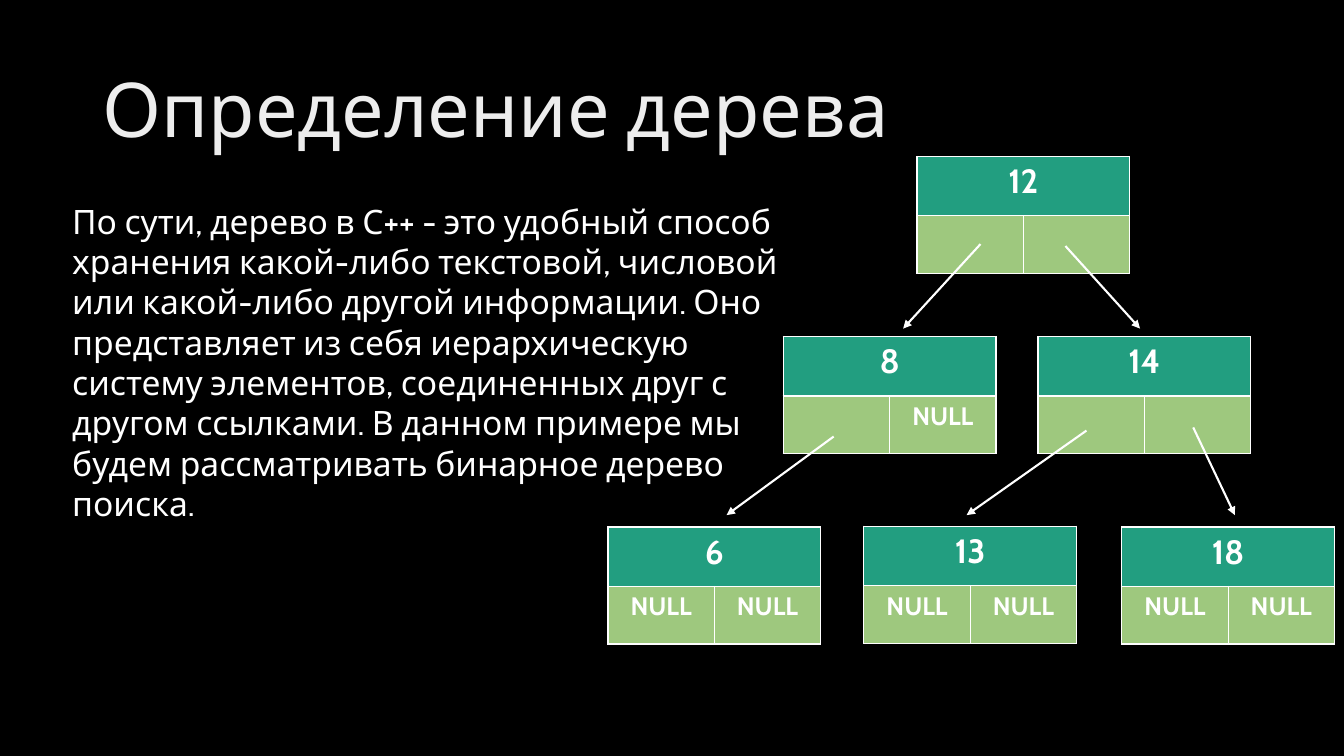
from lxml.etree import SubElement
from pptx import Presentation
from pptx.dml.color import RGBColor
from pptx.enum.shapes import MSO_CONNECTOR
from pptx.enum.text import MSO_ANCHOR, PP_ALIGN
from pptx.oxml import parse_xml
from pptx.oxml.ns import nsdecls, qn
from pptx.util import Cm, Pt

COLORS = {
    "background": "000000",
    "title": "EDEDED",
    "text": "FFFFFF",
    "line": "FFFFFF",
    "value": "229E80",
    "link": "9EC87E",
}
NODE_WIDTH, VALUE_HEIGHT, LINK_HEIGHT = 5.36, 1.5, 1.45
LINK_WIDTH = NODE_WIDTH / 2


def write(text_frame, text, size, color="text", bold=False, align=PP_ALIGN.LEFT, spacing=None):
    paragraph = text_frame.paragraphs[0]
    paragraph.alignment = align
    paragraph.line_spacing = spacing
    run = paragraph.add_run()
    run.text = text
    run.font.name = "Cabin"
    run.font.size = Pt(size)
    run.font.bold = bold
    run.font.color.rgb = RGBColor.from_string(COLORS[color])


def add_box(slide, left, top, width, height, fill, text, size):
    frame = slide.shapes.add_table(1, 1, Cm(left), Cm(top), Cm(width), Cm(height))
    cell = frame.table.cell(0, 0)
    properties = cell._tc.get_or_add_tcPr()
    for side in ("lnL", "lnR", "lnT", "lnB"):
        properties.append(parse_xml(
            f'<a:{side} {nsdecls("a")} w="12700"><a:solidFill>'
            f'<a:srgbClr val="{COLORS["line"]}"/></a:solidFill></a:{side}>'
        ))
    cell.fill.solid()
    cell.fill.fore_color.rgb = RGBColor.from_string(COLORS[fill])
    if text:
        write(cell.text_frame, text, size, bold=True, align=PP_ALIGN.CENTER)


presentation = Presentation()
presentation.slide_width = Cm(33.87)
presentation.slide_height = Cm(19.05)
slide = presentation.slides.add_slide(presentation.slide_layouts[5])
slide.background.fill.solid()
slide.background.fill.fore_color.rgb = RGBColor.from_string(COLORS["background"])

title = slide.shapes.title
title.left, title.top, title.width, title.height = Cm(2.33), Cm(1.01), Cm(29.21), Cm(3.68)
title.text_frame.vertical_anchor = MSO_ANCHOR.MIDDLE
write(title.text_frame, "Определение дерева", 54, color="title", spacing=0.9)

nodes = [
    ("12", 23.11, 3.94, ("", "")),
    ("8", 19.74, 8.48, ("", "NULL")),
    ("14", 26.16, 8.48, ("", "")),
    ("6", 15.32, 13.28, ("NULL", "NULL")),
    ("13", 21.77, 13.26, ("NULL", "NULL")),
    ("18", 28.27, 13.28, ("NULL", "NULL")),
]
for value, left, top, links in nodes:
    add_box(slide, left, top, NODE_WIDTH, VALUE_HEIGHT, "value", value, 24)
    for column, link in enumerate(links):
        add_box(slide, left + column * LINK_WIDTH, top + VALUE_HEIGHT,
                LINK_WIDTH, LINK_HEIGHT, "link", link, 18)

arrows = [
    (24.71, 6.15, 22.76, 8.28),
    (26.85, 6.2, 28.73, 8.28),
    (21.01, 11, 18.31, 12.98),
    (27.38, 10.85, 24.36, 12.98),
    (30.07, 10.77, 31.12, 12.98),
]
for ends in arrows:
    arrow = slide.shapes.add_connector(MSO_CONNECTOR.STRAIGHT, *map(Cm, ends))
    arrow.line.color.rgb = RGBColor.from_string(COLORS["line"])
    arrow.line.width = Pt(1.5)
    SubElement(arrow.line._get_or_add_ln(), qn("a:tailEnd"), type="triangle")
    SubElement(arrow._element.spPr, qn("a:effectLst"))

description = slide.shapes.add_textbox(Cm(1.57), Cm(4.93), Cm(18.69), Cm(7.44))
description.text_frame.word_wrap = True
write(
    description.text_frame,
    "По сути, дерево в С++ - это удобный способ хранения какой-либо текстовой, "
    "числовой или какой-либо другой информации. Оно представляет из себя "
    "иерархическую систему элементов, соединенных друг с другом ссылками. "
    "В данном примере мы будем рассматривать бинарное дерево поиска.",
    24,
)

presentation.save("out.pptx")
